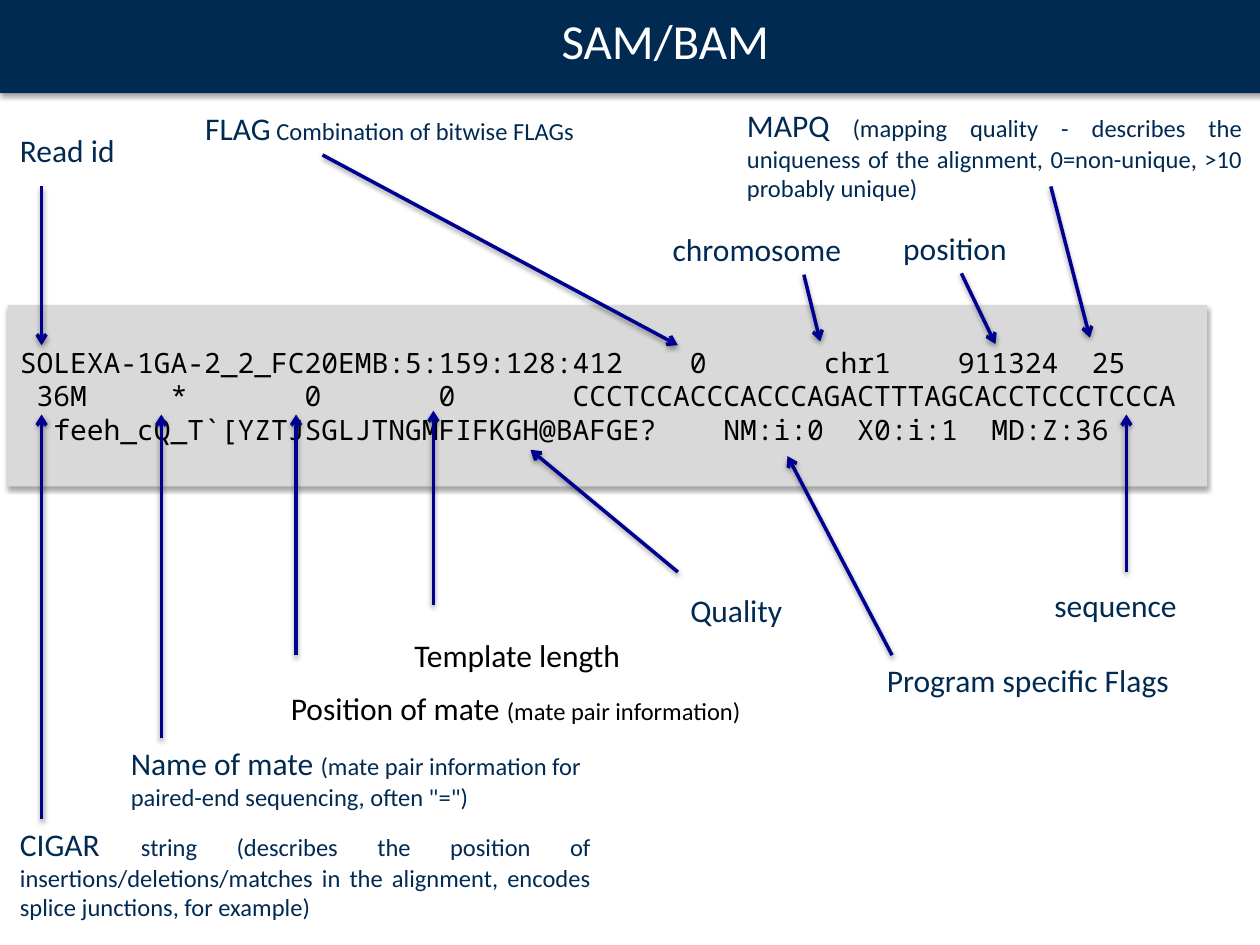
from lxml.etree import SubElement
from pptx import Presentation
from pptx.dml.color import RGBColor
from pptx.enum.shapes import MSO_CONNECTOR, MSO_SHAPE
from pptx.enum.text import MSO_ANCHOR, MSO_AUTO_SIZE, PP_ALIGN
from pptx.oxml.ns import qn
from pptx.util import Inches, Pt

NAVY, ARROW_BLUE, BLACK, WHITE, GREY = "002A52", "000090", "000000", "FFFFFF", "D9D9D9"
BODY_FONT, CODE_FONT = "Calibri", "Noto Sans Mono"

RECORD_LINES = [
    "SOLEXA-1GA-2_2_FC20EMB:5:159:128:412    0       chr1    911324  25",
    " 36M     *       0       0       CCCTCCACCCACCCAGACTTTAGCACCTCCCTCCCA",
    "  feeh_cQ_T`[YZTJSGLJTNGMFIFKGH@BAFGE?    NM:i:0  X0:i:1  MD:Z:36",
]

LABELS = [
    ((1.53, 0.82, 4.51, 0.4), "FLAG", " Combination of bitwise FLAGs", NAVY, PP_ALIGN.LEFT),
    ((0.06, 0.99, 0.98, 0.4), "Read id", "", NAVY, PP_ALIGN.LEFT),
    ((5.24, 1.78, 1.74, 0.4), "chromosome", "", NAVY, PP_ALIGN.LEFT),
    ((5.83, 0.79, 4.13, 0.88), "MAPQ",
     " (mapping quality - describes the uniqueness of the alignment, "
     "0=non-unique, >10 probably unique)", NAVY, PP_ALIGN.JUSTIFY),
    ((0.06, 6.5, 4.73, 0.88), "CIGAR ",
     "string (describes the position of insertions/deletions/matches in the alignment, "
     "encodes splice junctions, for example)", NAVY, PP_ALIGN.JUSTIFY),
    ((8.27, 4.6, 1.28, 0.4), "sequence", "", NAVY, PP_ALIGN.LEFT),
    ((0.94, 5.86, 3.99, 0.64), "Name of mate ",
     '(mate pair information for paired-end sequencing, often "=")', NAVY, PP_ALIGN.LEFT),
    ((2.21, 5.42, 3.82, 0.4), "Position of mate ", "(mate pair information)", BLACK, PP_ALIGN.LEFT),
    ((3.19, 5, 1.88, 0.4), "Template length", "", BLACK, PP_ALIGN.LEFT),
    ((5.38, 4.64, 1.28, 0.4), "Quality", "", NAVY, PP_ALIGN.LEFT),
    ((6.94, 5.2, 2.81, 0.4), "Program specific Flags", "", NAVY, PP_ALIGN.LEFT),
]
POSITION_BOX = (7.07, 1.77, 1.12, 0.4)

ARROWS = [
    ((0.33, 1.48), (0.33, 2.74)),
    ((2.56, 1.23), (5.38, 2.74)),
    ((6.38, 2.18), (6.51, 2.71)),
    ((8.34, 1.48), (8.65, 2.68)),
    ((0.33, 6.5), (0.33, 3.29)),
    ((8.94, 4.54), (8.94, 3.29)),
    ((1.28, 5.86), (1.28, 3.29)),
    ((2.35, 5.2), (2.35, 3.29)),
    ((3.44, 4.8), (3.44, 3.26)),
    ((5.38, 4.54), (4.21, 3.57)),
    ((7.08, 5.2), (6.25, 3.62)),
]


def color(hex_string):
    """Return the colour for a hex string."""
    return RGBColor.from_string(hex_string)


def inches(values):
    """Convert a sequence of numbers to lengths."""
    return [Inches(value) for value in values]


def add_run(paragraph, text, size, font_name, font_color):
    """Add one formatted run to a paragraph."""
    run = paragraph.add_run()
    run.text = text
    run.font.size = Pt(size)
    run.font.name = font_name
    run.font.color.rgb = color(font_color)


def add_shadow(shape, distance, opacity):
    """Give a shape or connector a soft shadow straight below it."""
    effects = SubElement(shape._element.spPr, qn("a:effectLst"))
    shadow = SubElement(effects, qn("a:outerShdw"), blurRad=str(Pt(3.1)),
                        dist=str(Pt(distance)), dir="5400000", rotWithShape="0")
    black = SubElement(shadow, qn("a:srgbClr"), val=BLACK)
    SubElement(black, qn("a:alpha"), val=str(opacity * 1000))


def add_panel(slide, box, fill):
    """Add a filled rectangle with a shadow and no outline."""
    panel = slide.shapes.add_shape(MSO_SHAPE.RECTANGLE, *inches(box))
    panel.fill.solid()
    panel.fill.fore_color.rgb = color(fill)
    panel.line.fill.background()
    add_shadow(panel, 1.8, 35)
    return panel


def add_header(slide, bar_box, title_box):
    """Place the title on a navy bar."""
    bar = add_panel(slide, bar_box, NAVY)
    title = slide.shapes.title
    title._element.addprevious(bar._element)
    title.left, title.top, title.width, title.height = inches(title_box)
    title.text_frame.vertical_anchor = MSO_ANCHOR.MIDDLE
    paragraph = title.text_frame.paragraphs[0]
    paragraph.alignment = PP_ALIGN.CENTER
    add_run(paragraph, "SAM/BAM", 28, BODY_FONT, WHITE)


def add_record(slide, box):
    """Place the alignment record on a grey panel."""
    frame = add_panel(slide, box, GREY).text_frame
    frame.word_wrap = True
    frame.vertical_anchor = MSO_ANCHOR.MIDDLE
    paragraph = frame.paragraphs[0]
    paragraph.alignment = PP_ALIGN.LEFT
    for index, line in enumerate(RECORD_LINES):
        if index:
            paragraph.add_line_break()
        add_run(paragraph, line, 16, CODE_FONT, BLACK)


def add_label(slide, box, name, detail, font_color, alignment):
    """Add a field name followed by an optional smaller explanation."""
    label = slide.shapes.add_textbox(*inches(box))
    frame = label.text_frame
    frame.word_wrap = True
    frame.auto_size = MSO_AUTO_SIZE.SHAPE_TO_FIT_TEXT
    paragraph = frame.paragraphs[0]
    paragraph.alignment = alignment
    add_run(paragraph, name, 18, BODY_FONT, font_color)
    if detail:
        add_run(paragraph, detail, 14, BODY_FONT, font_color)
    return label


def add_arrow(slide, start, end):
    """Add an arrow that points at a field of the record."""
    arrow = slide.shapes.add_connector(MSO_CONNECTOR.STRAIGHT, *inches(start + end))
    arrow.line.color.rgb = color(ARROW_BLUE)
    arrow.line.width = Pt(2)
    SubElement(arrow.line._get_or_add_ln(), qn("a:tailEnd"), type="arrow")
    add_shadow(arrow, 1.6, 38)
    return arrow


def add_annotations(slide):
    """Place the field labels and their arrows."""
    for label in LABELS:
        add_label(slide, *label)
    for start, end in ARROWS:
        add_arrow(slide, start, end)
    position = add_label(slide, POSITION_BOX, "position", "", NAVY, PP_ALIGN.LEFT)
    add_arrow(slide, (7.63, 2.17), (7.9, 2.73)).begin_connect(position, 2)


def main():
    """Build and save the slide."""
    presentation = Presentation()
    presentation.slide_width, presentation.slide_height = Inches(10), Inches(7.5)
    slide = presentation.slides.add_slide(presentation.slide_layouts[5])
    add_header(slide, (0, 0, 10.03, 0.74), (1.35, 0, 7.86, 0.63))
    add_record(slide, (0.06, 2.42, 9.52, 1.44))
    add_annotations(slide)
    presentation.save("out.pptx")


if __name__ == "__main__":
    main()
